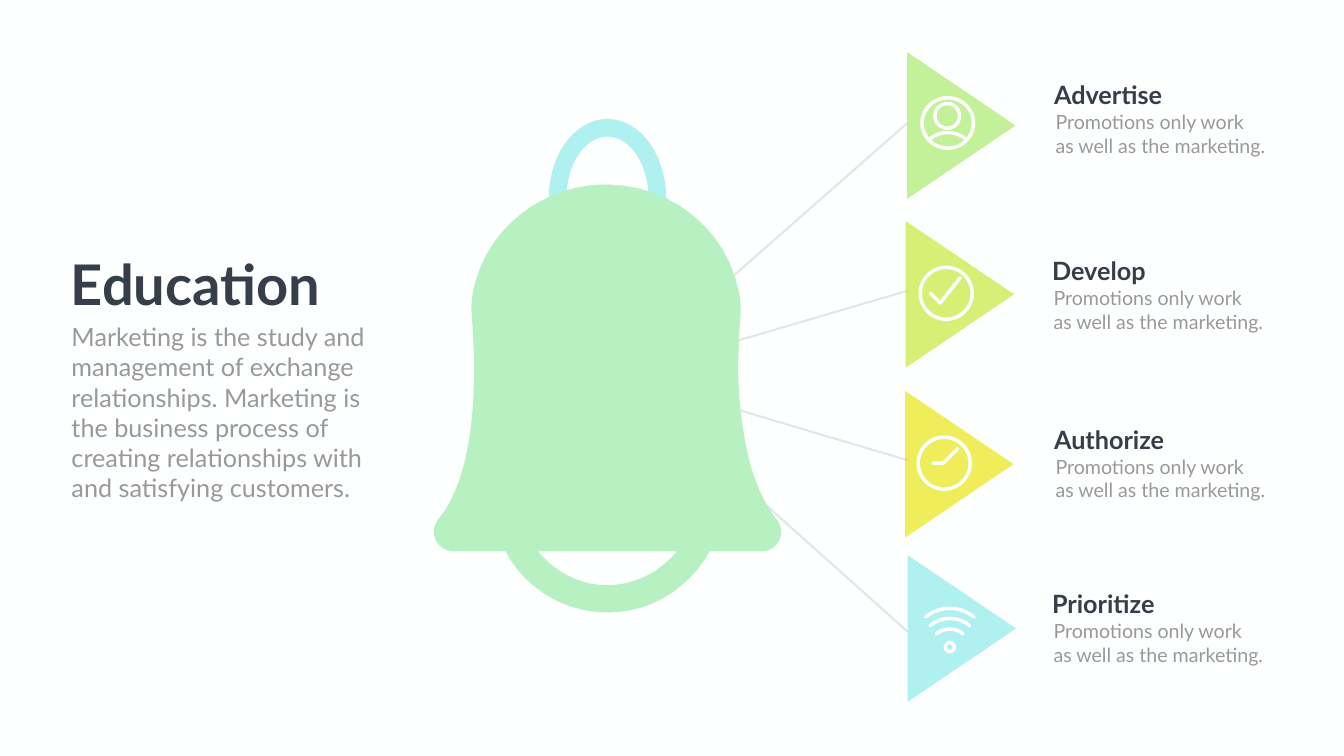
from lxml.etree import SubElement
from pptx import Presentation
from pptx.dml.color import RGBColor
from pptx.enum.shapes import MSO_CONNECTOR as Connector, MSO_SHAPE as Shape
from pptx.enum.text import MSO_AUTO_SIZE as AutoSize
from pptx.oxml.ns import qn
from pptx.util import Inches, Pt

deck = Presentation()
deck.slide_width, deck.slide_height = Inches(26.66), Inches(15)
COLUMN, ROW = deck.slide_width / 26.66, deck.slide_height / 15
page = deck.slides.add_slide(deck.slide_layouts[6])
page.background.fill.solid()
page.background.fill.fore_color.rgb = RGBColor.from_string("FEFFFF")

WHITE, DARK, GREY, GREEN = "FFFFFF", "363E49", "989998", "B7F0C1"
STEPS = 12
DEGREE = 0.6


def paint(shape, fill=None, line=None):
    shape.shadow.inherit = False
    if fill:
        shape.fill.solid()
        shape.fill.fore_color.rgb = RGBColor.from_string(fill)
    else:
        shape.fill.background()
    if line:
        shape.line.color.rgb = RGBColor.from_string(line)
        shape.line.width = Pt(5)
        shape.element.spPr.find(qn("a:ln")).set("cap", "rnd")
    else:
        shape.line.fill.background()


def write(left, top, width, height, lines, size, color, bold=False, wrap=True):
    box = page.shapes.add_textbox(
        int(left * COLUMN), int(top * ROW), int(width * COLUMN), int(height * ROW))
    frame = box.text_frame
    frame.word_wrap = wrap
    frame.auto_size = AutoSize.SHAPE_TO_FIT_TEXT
    for index, line in enumerate(lines):
        para = frame.paragraphs[0] if index == 0 else frame.add_paragraph()
        para.text = line
        para.font.name = "Lato"
        para.font.size = Pt(size)
        para.font.bold = bold
        para.font.color.rgb = RGBColor.from_string(color)


topics = [
    ("Advertise", "C3F19A", 19.07, 2.49, 20.81, 1.53, 2.44),
    ("Develop", "D7EF74", 19.04, 5.84, 20.77, 5.02, 5.77),
    ("Authorize", "EFEE5A", 19.03, 9.21, 20.81, 8.36, 9.13),
    ("Prioritize", "AFF1F1", 19.08, 12.47, 20.77, 11.63, 12.53),
]

for name, color, center_x, center_y, text_left, text_top, line_end in topics:
    width, height = 2.91, 2.15
    triangle = page.shapes.add_shape(
        Shape.ISOSCELES_TRIANGLE,
        int((center_x - width / 2) * COLUMN), int((center_y - height / 2) * ROW),
        int(width * COLUMN), int(height * ROW))
    triangle.rotation = 90
    paint(triangle, color)

    spoke = page.shapes.add_connector(
        Connector.STRAIGHT, int(12.31 * COLUMN), int(7.44 * ROW),
        int(18 * COLUMN), int(line_end * ROW))
    spoke.line.width = Pt(3)
    spoke.line.color.rgb = RGBColor.from_string("808080")
    tint = spoke.element.spPr.find(".//" + qn("a:srgbClr"))
    SubElement(tint, qn("a:alpha")).set("val", "20000")
    SubElement(spoke.element.spPr, qn("a:effectLst"))

    write(text_left, text_top, 2.61, 0.71, [name], 36, DARK, bold=True)
    write(text_left + 0.03, text_top + 0.61, 4.51, 1.04,
          ["Promotions only work", "as well as the marketing."], 28, GREY)

rings = [
    (12.05, 3.94, 2.33, 3.16, 0.35, "AFF1F1"),
    (18.8, 2.44, 1.09, 1.07, 0.07, WHITE),
    (18.79, 2.3, 0.56, 0.56, 0.07, WHITE),
    (18.77, 5.82, 1.1, 1.1, 0.07, WHITE),
    (18.73, 9.19, 1.1, 1.1, 0.07, WHITE),
    (18.84, 12.84, 0.25, 0.25, 0.07, WHITE),
]
for center_x, center_y, width, height, thickness, color in rings:
    ring = page.shapes.add_shape(
        Shape.DONUT, int((center_x - width / 2) * COLUMN),
        int((center_y - height / 2) * ROW), int(width * COLUMN), int(height * ROW))
    ring.adjustments[0] = thickness / min(width, height)
    paint(ring, color)

shoulders = (18.8, 2.63, 0.56)
waves = [(18.84, 12.07, 0.75), (18.84, 12.27, 0.61), (18.84, 12.48, 0.41)]
for center_x, top, radius in [shoulders, *waves]:
    arc = page.shapes.add_shape(
        Shape.ARC, int((center_x - radius) * COLUMN), int(top * ROW),
        int(2 * radius * COLUMN), int(2 * radius * ROW))
    arc.adjustments[0] = 230 * DEGREE
    arc.adjustments[1] = 310 * DEGREE
    paint(arc, line=WHITE)

bell_curve = [
    (12.02, 3.66),
    (11.41, 3.66), (10.81, 3.87), (10.33, 4.25),
    (9.86, 4.62), (9.53, 5.14), (9.4, 5.71),
    (9.36, 5.89), (9.34, 6.08), (9.36, 6.27),
    (9.37, 6.37), (9.39, 6.81), (9.4, 6.93),
    (9.41, 7.38), (9.41, 8), (9.32, 8.63),
    (9.21, 9.37), (9, 9.94), (8.69, 10.31),
    (8.6, 10.42), (8.58, 10.58), (8.64, 10.71),
    (8.7, 10.84), (8.84, 10.93), (8.98, 10.94),
    (9.33, 10.94), (9.68, 10.94), (10.03, 10.94),
    (10.2, 11.27), (10.45, 11.54), (10.77, 11.76),
    (11.15, 12.02), (11.59, 12.15), (12.05, 12.15),
    (12.51, 12.15), (12.95, 12.02), (13.33, 11.76),
    (13.64, 11.54), (13.9, 11.27), (14.07, 10.94),
    (14.42, 10.94), (14.77, 10.94), (15.11, 10.94),
    (15.26, 10.94), (15.4, 10.85), (15.46, 10.71),
    (15.52, 10.59), (15.5, 10.43), (15.41, 10.31),
    (15.09, 9.91), (14.86, 9.33), (14.75, 8.57),
    (14.63, 7.89), (14.63, 7.22), (14.66, 6.77),
    (14.66, 6.58), (14.68, 6.39), (14.69, 6.24),
    (14.7, 6.09), (14.69, 5.94), (14.66, 5.81),
    (14.43, 4.56), (13.31, 3.66), (12.02, 3.66),
]
gap_curve = [
    (10.67, 10.94),
    (10.79, 11.08), (10.92, 11.2), (11.08, 11.31),
    (11.36, 11.5), (11.69, 11.61), (12.05, 11.61),
    (12.39, 11.61), (12.74, 11.5), (13.02, 11.31),
    (13.18, 11.2), (13.31, 11.08), (13.43, 10.94),
]
bell = []
for curve in [bell_curve, gap_curve]:
    contour = [curve[0]]
    for first in range(0, len(curve) - 1, 3):
        a, b, c, d = curve[first:first + 4]
        for step in range(1, STEPS + 1):
            t = step / STEPS
            u = 1 - t
            contour.append(tuple(
                u**3 * p + 3 * u * u * t * q + 3 * u * t * t * r + t**3 * s
                for p, q, r, s in zip(a, b, c, d)))
    bell.append(contour)

check_mark = [[(18.45, 5.81), (18.65, 6.01), (19.05, 5.51)]]
clock_hands = [[(18.51, 9.19), (18.71, 9.19), (19, 8.9)]]
for contours, fill, line in [
        (bell, GREEN, None), (check_mark, None, WHITE), (clock_hands, None, WHITE)]:
    pen = page.shapes.build_freeform()
    for contour in contours:
        points = [(int(x * COLUMN), int(y * ROW)) for x, y in contour]
        if contour is contours[0]:
            pen = page.shapes.build_freeform(*points[0])
        else:
            pen.move_to(*points[0])
        pen.add_line_segments(points[1:], close=bool(fill))
    paint(pen.convert_to_shape(), fill, line)

write(1.31, 4.91, 5.24, 1.45, ["Education"], 80, DARK, bold=True, wrap=False)
write(1.32, 6.33, 6.54, 3.74, [
    "Marketing is the study and management of exchange relationships. "
    "Marketing is the business process of creating relationships with "
    "and satisfying customers."], 36, GREY)

deck.save("out.pptx")
